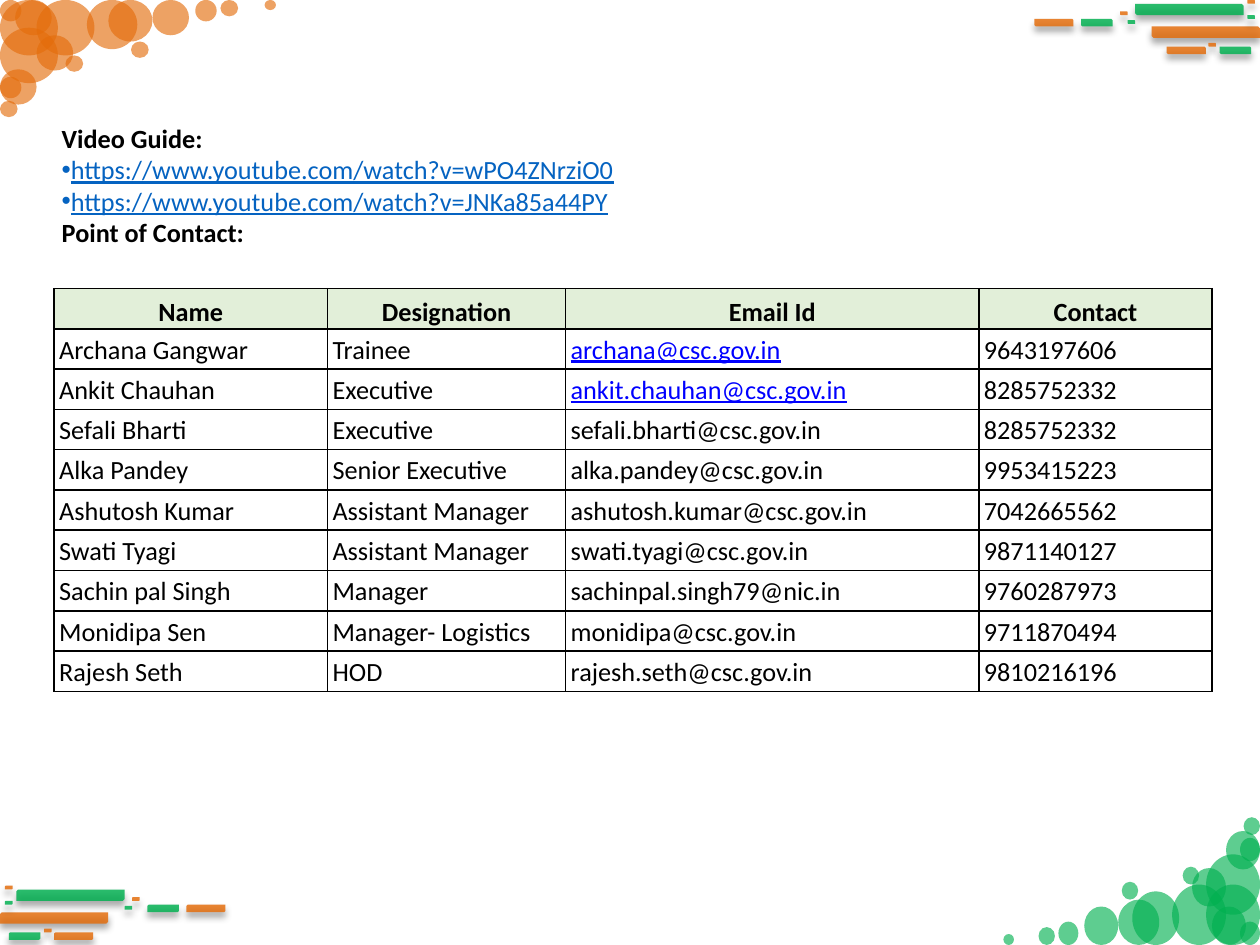
from lxml import etree
from pptx import Presentation
from pptx.dml.color import RGBColor
from pptx.enum.shapes import MSO_SHAPE
from pptx.enum.text import MSO_ANCHOR, MSO_AUTO_SIZE, PP_ALIGN
from pptx.oxml.ns import qn
from pptx.util import Inches, Pt

BAR, BUBBLE = MSO_SHAPE.SNIP_2_DIAG_RECTANGLE, MSO_SHAPE.OVAL
CENTER, JUSTIFY, LEFT = PP_ALIGN.CENTER, PP_ALIGN.JUSTIFY, PP_ALIGN.LEFT
TOP, MIDDLE, BOTTOM = MSO_ANCHOR.TOP, MSO_ANCHOR.MIDDLE, MSO_ANCHOR.BOTTOM

WIDTH, HEIGHT = 10, 7.5
MARGIN = 0.43
ORANGE, GREEN, BLACK = "E46C0A", "00B050", "000000"
HEADER_FILL, GUIDE_BLUE, EMAIL_BLUE = "E2EFD9", "0563C1", "0000FF"

# left, top, width, height, colour of the bars in the top right corner
BARS = [
    (9.01, 0.03, 0.86, 0.09, GREEN), (9.14, 0.21, 0.86, 0.09, ORANGE),
    (8.58, 0.15, 0.25, 0.06, GREEN), (9.68, 0.37, 0.25, 0.06, GREEN),
    (9.26, 0.37, 0.31, 0.06, ORANGE), (8.21, 0.15, 0.31, 0.06, ORANGE),
    (8.89, 0.09, 0.06, 0.03, ORANGE), (8.95, 0.16, 0.06, 0.03, GREEN),
    (9.59, 0.34, 0.06, 0.03, ORANGE), (9.9, 0.12, 0.06, 0.03, GREEN),
    (9.9, 0, 0.06, 0.03, ORANGE),
]
BAR_DROP = 7.03

# left, top, width, height of the bubbles in the top left corner
BUBBLES = [
    (0.29, 0, 0.46, 0.44), (0.69, 0, 0.4, 0.39), (0.29, 0.28, 0.29, 0.28),
    (0.86, 0, 0.35, 0.33), (1.21, 0, 0.29, 0.28), (0.12, 0, 0.29, 0.28),
    (1.55, 0, 0.17, 0.17), (0, 0.61, 0.17, 0.17), (1.04, 0.33, 0.14, 0.13),
    (0.52, 0.44, 0.14, 0.13), (0, 0.8, 0.14, 0.13), (2.1, 0, 0.09, 0.08),
    (1.75, 0, 0.14, 0.13), (0, 0, 0.17, 0.17), (0, 0.22, 0.46, 0.44),
    (0, 0.55, 0.29, 0.28), (0, 0, 0.46, 0.44),
]
BUBBLE_STRETCH = (0.93, 1.09)

GUIDE = [
    ("Video Guide:", False),
    ("https://www.youtube.com/watch?v=wPO4ZNrziO0", True),
    ("https://www.youtube.com/watch?v=JNKa85a44PY", True),
    ("Point of Contact:", False),
]

COLUMNS = [2.17, 1.89, 3.28, 1.85]
ROW_HEIGHT = 0.32
CONTACTS = [
    ("Name", "Designation", "Email Id", "Contact"),
    ("Archana Gangwar", "Trainee", "archana@csc.gov.in", "9643197606"),
    ("Ankit Chauhan", "Executive", "ankit.chauhan@csc.gov.in", "8285752332"),
    ("Sefali Bharti", "Executive", "sefali.bharti@csc.gov.in", "8285752332"),
    ("Alka Pandey", "Senior Executive", "alka.pandey@csc.gov.in", "9953415223"),
    ("Ashutosh Kumar", "Assistant Manager", "ashutosh.kumar@csc.gov.in", "7042665562"),
    ("Swati Tyagi", "Assistant Manager", "swati.tyagi@csc.gov.in", "9871140127"),
    ("Sachin pal Singh", "Manager", "sachinpal.singh79@nic.in", "9760287973"),
    ("Monidipa Sen", "Manager- Logistics", "monidipa@csc.gov.in", "9711870494"),
    ("Rajesh Seth", "HOD", "rajesh.seth@csc.gov.in", "9810216196"),
]
LINKED_EMAILS = {"archana@csc.gov.in", "ankit.chauhan@csc.gov.in"}


def rgb(color):
    return RGBColor.from_string(color)


def add_node(parent, tag, **attributes):
    return etree.SubElement(parent, qn(tag), attributes)


def write(paragraph, text, color=BLACK, bold=False, underline=False,
          align=LEFT, spacing=1.0, bullet=None):
    properties = paragraph._p.get_or_add_pPr()
    properties.set("marL", "0")
    properties.set("indent", "0")
    if bullet:
        add_node(properties, "a:buFont", typeface="Arial")
        add_node(properties, "a:buChar", char=bullet)
    else:
        add_node(properties, "a:buNone")
    paragraph.alignment = align
    paragraph.line_spacing = spacing
    paragraph.space_before = paragraph.space_after = Pt(0)
    run = paragraph.add_run()
    run.text = text
    run.font.name, run.font.size = "Calibri", Pt(15)
    run.font.bold, run.font.underline = bold, underline
    run.font.color.rgb = rgb(color)


def add_decoration(slide, kind, box, color, opacity):
    decoration = slide.shapes.add_shape(kind, *map(Inches, box))
    decoration.shadow.inherit = False
    decoration.line.fill.background()
    decoration.fill.solid()
    decoration.fill.fore_color.rgb = rgb(color)
    fill_color = decoration.element.spPr.find(".//" + qn("a:srgbClr"))
    add_node(fill_color, "a:alpha", val=str(opacity * 1000))
    return decoration


def add_bar(slide, box, color, mirrored=False):
    properties = add_decoration(slide, BAR, box, color, 83).element.spPr
    if mirrored:
        properties.find(qn("a:xfrm")).set("flipH", "1")
    shadow = add_node(properties.find(qn("a:effectLst")), "a:outerShdw",
                      blurRad=str(Pt(4)), dist=str(Pt(3)), dir="5400000",
                      rotWithShape="0")
    shade = add_node(shadow, "a:srgbClr", val=BLACK)
    add_node(shade, "a:alpha", val="40000")


def add_bars(slide):
    """Bars at top right, and their mirror image at bottom left."""
    for left, top, width, height, color in BARS:
        add_bar(slide, (left, top, width, height), color)
    for left, top, width, height, color in BARS:
        box = (WIDTH - left - width, top + BAR_DROP, width, height)
        add_bar(slide, box, color, mirrored=True)


def add_bubbles(slide):
    """Orange bubbles at top left, turned and stretched green ones opposite."""
    across, down = BUBBLE_STRETCH
    for left, top, width, height in BUBBLES:
        add_decoration(slide, BUBBLE, (left, top, width, height), ORANGE, 63)
    for left, top, width, height in BUBBLES:
        box = (WIDTH - (left + width) * across, HEIGHT - (top + height) * down,
               width * across, height * down)
        add_decoration(slide, BUBBLE, box, GREEN, 63)


def fill_guide(guide):
    guide.left, guide.top = Inches(MARGIN), Inches(0.94)
    guide.width, guide.height = Inches(9.26), Inches(1.32)
    frame = guide.text_frame
    frame.word_wrap, frame.auto_size = True, MSO_AUTO_SIZE.NONE
    frame.vertical_anchor = TOP
    frame.margin_left = frame.margin_right = Inches(0.06)
    frame.margin_top = frame.margin_bottom = Inches(0.03)
    for index, (text, is_link) in enumerate(GUIDE):
        paragraph = frame.add_paragraph() if index else frame.paragraphs[0]
        write(paragraph, text, color=GUIDE_BLUE if is_link else BLACK,
              bold=not is_link, underline=is_link,
              bullet="•" if is_link else None)


def add_borders(cell):
    properties = cell._tc.get_or_add_tcPr()
    for side in ("a:lnL", "a:lnR", "a:lnT", "a:lnB"):
        border = add_node(properties, side, w=str(Pt(1)))
        add_node(add_node(border, "a:solidFill"), "a:srgbClr", val=BLACK)


def format_cell(cell, text, header):
    add_borders(cell)
    if header:
        cell.fill.solid()
        cell.fill.fore_color.rgb = rgb(HEADER_FILL)
    else:
        cell.fill.background()
    cell.margin_left = cell.margin_right = Inches(0.04)
    cell.margin_top = cell.margin_bottom = 0
    cell.vertical_anchor = BOTTOM if header else MIDDLE
    linked = text in LINKED_EMAILS
    write(cell.text_frame.paragraphs[0], text, bold=header, underline=linked,
          color=EMAIL_BLUE if linked else BLACK,
          align=CENTER if header else JUSTIFY, spacing=1.07)


def add_contacts(slide):
    table = slide.shapes.add_table(
        len(CONTACTS), len(COLUMNS), Inches(MARGIN), Inches(2.29),
        Inches(sum(COLUMNS)), Inches(ROW_HEIGHT * len(CONTACTS))).table
    table.first_row = table.horz_banding = False
    for column, width in zip(table.columns, COLUMNS):
        column.width = Inches(width)
    for row_index, contact in enumerate(CONTACTS):
        for column_index, text in enumerate(contact):
            format_cell(table.cell(row_index, column_index), text, row_index == 0)


def main():
    deck = Presentation()
    deck.slide_width, deck.slide_height = Inches(WIDTH), Inches(HEIGHT)
    slide = deck.slides.add_slide(deck.slide_layouts[1])
    unused_title = slide.shapes.title.element
    unused_title.getparent().remove(unused_title)
    fill_guide(slide.placeholders[1])
    add_bars(slide)
    add_bubbles(slide)
    add_contacts(slide)
    deck.save("out.pptx")


if __name__ == "__main__":
    main()
